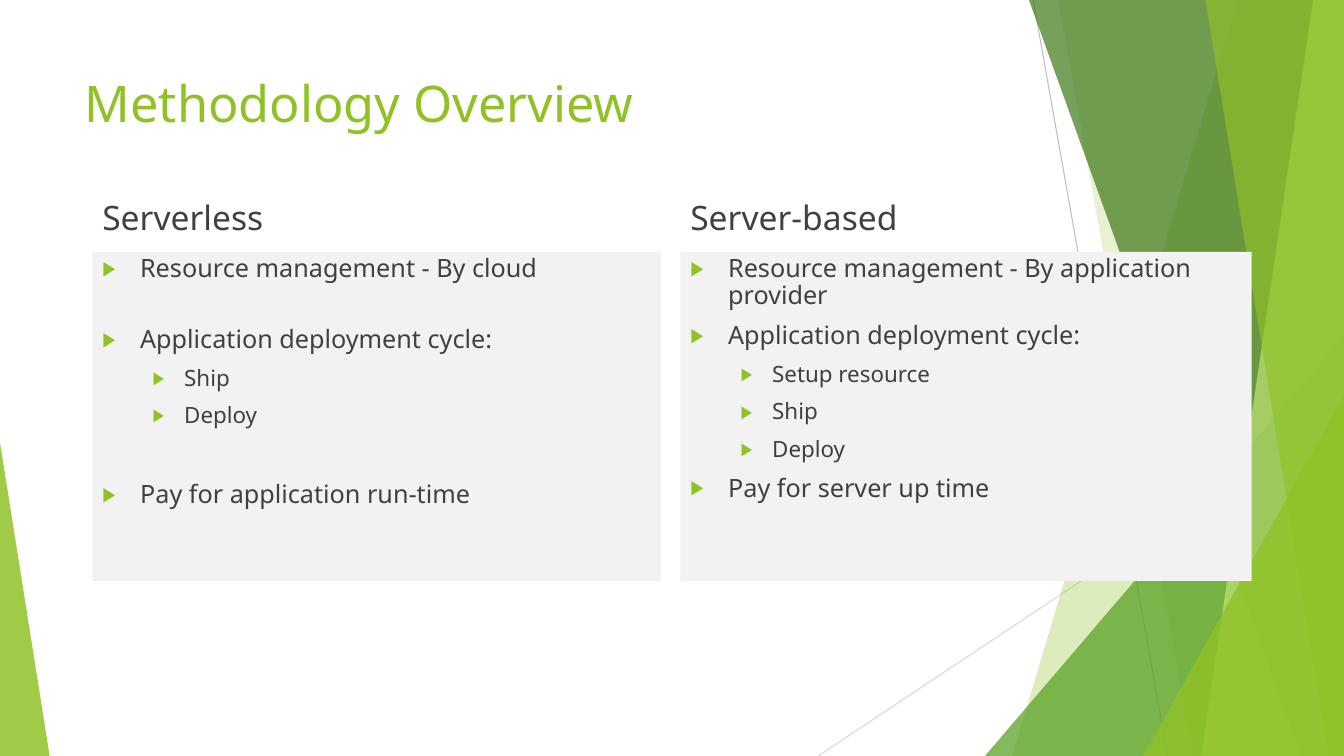
from lxml import etree
from pptx import Presentation
from pptx.dml.color import RGBColor
from pptx.enum.shapes import MSO_CONNECTOR, MSO_SHAPE
from pptx.enum.text import MSO_ANCHOR, PP_ALIGN
from pptx.oxml.ns import qn
from pptx.util import Pt

TRIANGLE, RECTANGLE = MSO_SHAPE.ISOSCELES_TRIANGLE, MSO_SHAPE.RECTANGLE
STRAIGHT = MSO_CONNECTOR.STRAIGHT
TOP, BOTTOM, LEFT = MSO_ANCHOR.TOP, MSO_ANCHOR.BOTTOM, PP_ALIGN.LEFT
FONT = "Noto Sans"
COLORS = {
    "lime": "90C226", "green": "54A021", "forest": "3F7819", "pale": "C0E474",
    "panel": "F2F2F2", "text": "404040", "gray": "BFBFBF", "silver": "D9D9D9",
}
WIDTH, HEIGHT = 960, 540

TITLE = "Methodology Overview"
COLUMNS = [
    ("Serverless", 66, 406, [
        (0, "Resource management - By cloud", 0),
        (0, "Application deployment cycle:", 31.4),
        (1, "Ship", 10),
        (1, "Deploy", 10),
        (0, "Pay for application run-time", 39),
    ]),
    ("Server-based", 486, 408, [
        (0, "Resource management - By application provider", 10),
        (0, "Application deployment cycle:", 10),
        (1, "Setup resource", 10),
        (1, "Ship", 10),
        (1, "Deploy", 10),
        (0, "Pay for server up time", 10),
    ]),
]
LEVELS = [
    {"size": 18, "margin": 27, "hang": 27},
    {"size": 16, "margin": 58.5, "hang": 22.5},
]

RAYS = [((738, 0), (834, HEIGHT), "gray"), ((WIDTH, 290), (584.5, HEIGHT), "silver")]
FACETS = [
    ("band", (884, 723), "lime", 30),
    ("band", (756, 852), "lime", 20),
    ("wedge", (703.5, 240, 256.5, 1), "green", 72),
    ("band", (735, 929.5), "forest", 70),
    ("band", (938, 858), "pale", 70),
    ("band", (861, 949), "lime", 65),
    ("wedge", (816.5, 283, 143.5, 1), "lime", 80),
    ("wedge", (0, 316, 35.5, 0), "lime", 85),
]


def rgb(name):
    return RGBColor.from_string(COLORS[name])


def paint(shape, color, opacity=100):
    shape.shadow.inherit = False
    shape.line.fill.background()
    shape.fill.solid()
    shape.fill.fore_color.rgb = rgb(color)
    if opacity < 100:
        tint = shape.fill._xPr.find(qn("a:solidFill"))[0]
        etree.SubElement(tint, qn("a:alpha"), val=str(opacity * 1000))


def draw_ray(start, end, color):
    ray = slide.shapes.add_connector(STRAIGHT, *map(Pt, start + end))
    ray.line.color.rgb = rgb(color)
    ray.line.width = Pt(0.75)
    etree.SubElement(ray._element.spPr, qn("a:effectLst"))


def draw_band(top_x, bottom_x):
    outline = slide.shapes.build_freeform(Pt(top_x), 0)
    corners = [(WIDTH, 0), (WIDTH, HEIGHT), (bottom_x, HEIGHT)]
    outline.add_line_segments([(Pt(x), Pt(y)) for x, y in corners], close=True)
    return outline.convert_to_shape()


def draw_wedge(left, top, width, apex):
    wedge = slide.shapes.add_shape(TRIANGLE, Pt(left), Pt(top), Pt(width), Pt(HEIGHT - top))
    wedge.adjustments[0] = apex
    return wedge


def set_frame(shape, anchor=TOP):
    frame = shape.text_frame
    frame.word_wrap = True
    frame.vertical_anchor = anchor
    return frame


def write(paragraph, text, size=18, color="text", before=0, spacing=1.0, margin=0, hang=0):
    paragraph.alignment = LEFT
    paragraph.space_before = Pt(before)
    paragraph.line_spacing = spacing
    run = paragraph.add_run()
    run.text = text
    run.font.name = FONT
    run.font.size = Pt(size)
    run.font.color.rgb = rgb(color)
    if hang:
        props = paragraph._p.get_or_add_pPr()
        props.set("marL", str(Pt(margin)))
        props.set("indent", str(-Pt(hang)))
        tint = etree.SubElement(props, qn("a:buClr"))
        etree.SubElement(tint, qn("a:srgbClr"), val=COLORS["lime"])
        etree.SubElement(props, qn("a:buSzPct"), val="80000")
        etree.SubElement(props, qn("a:buFont"), typeface=FONT)
        etree.SubElement(props, qn("a:buChar"), char="▶")


def add_heading(text, left, top, width, height, anchor=TOP, **style):
    box = slide.shapes.add_textbox(Pt(left), Pt(top), Pt(width), Pt(height))
    write(set_frame(box, anchor).paragraphs[0], text, **style)


deck = Presentation()
deck.slide_width, deck.slide_height = Pt(WIDTH), Pt(HEIGHT)
slide = deck.slides.add_slide(deck.slide_layouts[6])

for ray in RAYS:
    draw_ray(*ray)
for kind, place, color, opacity in FACETS:
    facet = draw_band(*place) if kind == "band" else draw_wedge(*place)
    paint(facet, color, opacity)

add_heading(TITLE, 53.5, 48, 677, 104, size=36, color="lime")
for heading, left, width, points in COLUMNS:
    add_heading(heading, left, 108, width, 65, BOTTOM, size=24, before=10)
    panel = slide.shapes.add_shape(RECTANGLE, Pt(left), Pt(180), Pt(width), Pt(235))
    paint(panel, "panel")
    frame = set_frame(panel)
    for index, (level, text, before) in enumerate(points):
        paragraph = frame.add_paragraph() if index else frame.paragraphs[0]
        paragraph.level = level
        write(paragraph, text, before=before, spacing=0.875, **LEVELS[level])

deck.save("out.pptx")
